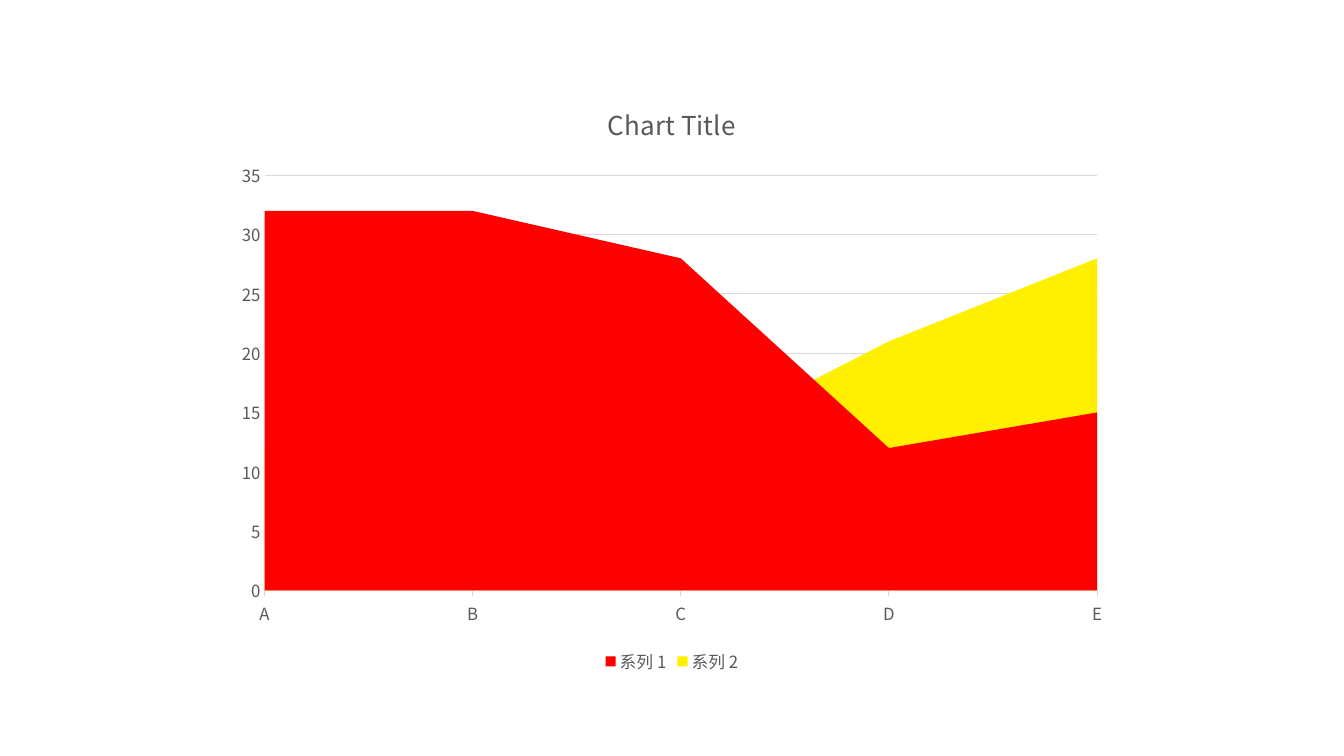
from dataclasses import dataclass

from lxml.etree import SubElement
from pptx import Presentation
from pptx.chart.chart import Chart
from pptx.chart.data import CategoryChartData
from pptx.dml.color import RGBColor
from pptx.dml.line import LineFormat
from pptx.enum.chart import XL_CHART_TYPE, XL_LEGEND_POSITION, XL_TICK_MARK
from pptx.oxml.ns import qn
from pptx.slide import Slide
from pptx.text.text import Font
from pptx.util import Emu, Pt

SCALE = 914400 / 100.8
FACE = "Noto Sans CJK SC"
COLORS = {"text": "595959", "line": "D9D9D9", "red": "FF0000", "yellow": "FFF000"}


@dataclass
class Series:
    """One filled area of the chart."""
    name: str
    color: str
    values: tuple[int, ...]


LABELS = ("A", "B", "C", "D", "E")
AREAS = (
    Series("系列 1", "red", (32, 32, 28, 12, 15)),
    Series("系列 2", "yellow", (12, 12, 12, 21, 28)),
)


def px(count: int) -> Emu:
    """Turn pixels into EMU."""
    return Emu(round(count * SCALE))


def color(name: str) -> RGBColor:
    """Look up a named colour."""
    return RGBColor.from_string(COLORS[name])


def style(font: Font, size: float) -> None:
    """Give chart text its face, size and grey."""
    font.name = FACE
    font.size = Pt(size)
    font.bold = False
    font.color.rgb = color("text")


def rule(line: LineFormat) -> None:
    """Draw a thin light line."""
    line.color.rgb = color("line")
    line.width = Pt(0.75)


def add_areas(slide: Slide) -> Chart:
    """Place the area chart and fill its series."""
    data = CategoryChartData()
    data.categories = LABELS
    for area in AREAS:
        data.add_series(area.name, area.values)
    frame = slide.shapes.add_chart(
        XL_CHART_TYPE.AREA, px(224), px(80), px(896), px(598), data)
    chart = frame.chart
    for area, series in zip(AREAS, chart.plots[0].series):
        series.format.fill.solid()
        series.format.fill.fore_color.rgb = color(area.color)
        series.format.line.fill.background()
    chart.plots[0].vary_by_categories = False
    return chart


def set_axes(chart: Chart) -> None:
    """Format both axes and the grid."""
    base, scale = chart.category_axis, chart.value_axis
    for axis in (base, scale):
        style(axis.tick_labels.font, 12)
        axis.minor_tick_mark = XL_TICK_MARK.NONE
    base.major_tick_mark = XL_TICK_MARK.OUTSIDE
    base.has_major_gridlines = False
    rule(base.format.line)
    scale.major_tick_mark = XL_TICK_MARK.NONE
    scale.format.line.fill.background()
    scale.has_major_gridlines = True
    rule(scale.major_gridlines.format.line)


def set_text(chart: Chart) -> None:
    """Add the title and legend, and set the East Asian face."""
    style(chart.font, 10)
    chart.has_title = True
    title = chart.chart_title
    title.include_in_layout = False
    title.text_frame.text = "Chart Title"
    style(title.text_frame.paragraphs[0].runs[0].font, 18.6)
    chart.has_legend = True
    chart.legend.position = XL_LEGEND_POSITION.BOTTOM
    chart.legend.include_in_layout = False
    style(chart.legend.font, 12)
    for latin in list(chart.element.iter(qn("a:latin"))):
        east = SubElement(latin.getparent(), qn("a:ea"), typeface=FACE)
        latin.addnext(east)


def main() -> None:
    """Build and save the slide."""
    deck = Presentation()
    deck.slide_width, deck.slide_height = px(1344), px(756)
    slide = deck.slides.add_slide(deck.slide_layouts[6])
    chart = add_areas(slide)
    set_axes(chart)
    set_text(chart)
    deck.save("out.pptx")


main()
